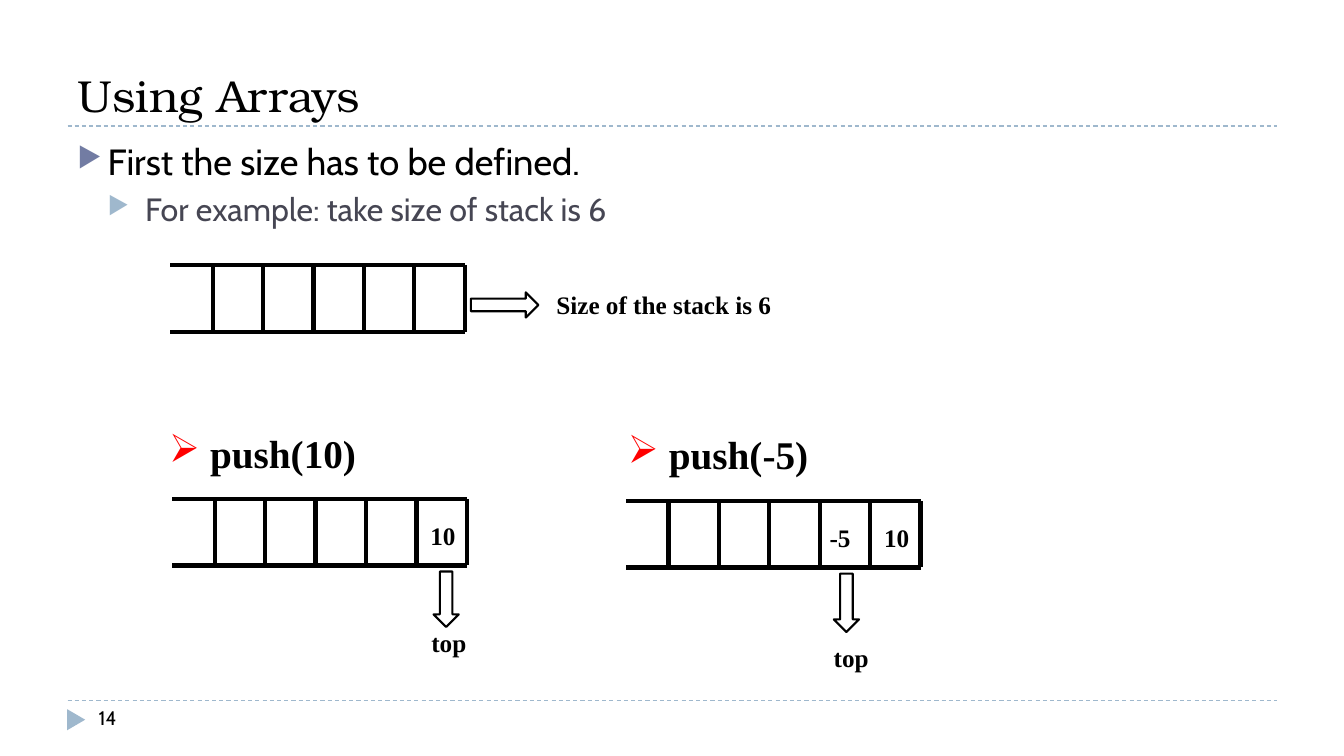
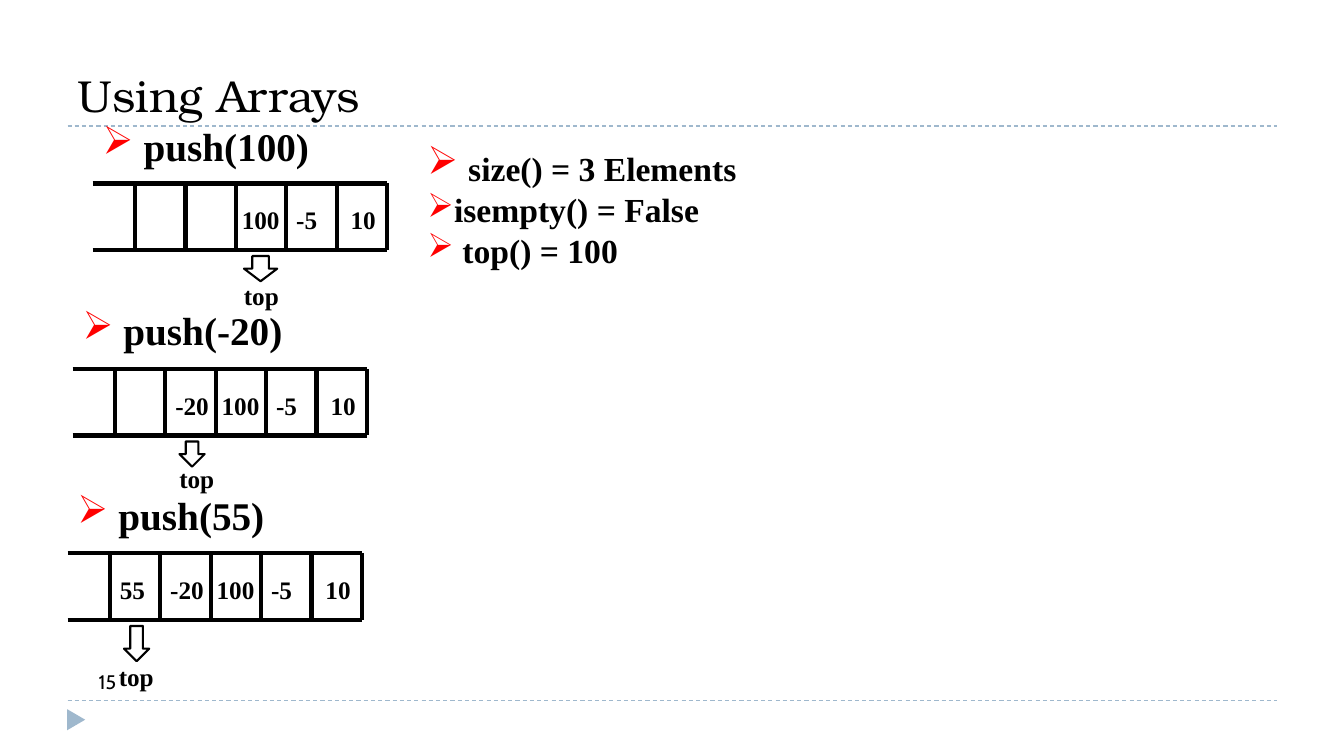
from dataclasses import dataclass

from lxml import etree
from pptx import Presentation
from pptx.dml.color import RGBColor
from pptx.enum.dml import MSO_LINE
from pptx.enum.shapes import MSO_CONNECTOR, MSO_SHAPE
from pptx.enum.text import MSO_ANCHOR, PP_ALIGN
from pptx.oxml.ns import qn
from pptx.util import Inches, Pt

BLACK = RGBColor(0x00, 0x00, 0x00)
RED = RGBColor(0xFF, 0x00, 0x00)
SLATE = RGBColor(0x46, 0x46, 0x53)
INDIGO = RGBColor(0x72, 0x7C, 0xA3)
PALE_BLUE = RGBColor(0x9F, 0xB8, 0xCD)

TITLE_FONT = "TeX Gyre Bonum"
BODY_FONT = "Cabin"
DIAGRAM_FONT = "Times New Roman"
BULLET_FONT = "OpenSymbol"

STRAIGHT = MSO_CONNECTOR.STRAIGHT
DASH = MSO_LINE.DASH
TRIANGLE = MSO_SHAPE.ISOSCELES_TRIANGLE
RIGHT_ARROW = MSO_SHAPE.RIGHT_ARROW
DOWN_ARROW = MSO_SHAPE.DOWN_ARROW
TOP = MSO_ANCHOR.TOP
BOTTOM = MSO_ANCHOR.BOTTOM
JUSTIFY = PP_ALIGN.JUSTIFY

CELL_WIDTH = 0.5
CELL_HEIGHT = 0.66
ARRAY_WIDTH = 2.92
CELL_COUNT = 6
PUSHED_VALUES = [("10", 0.04), ("-5", 0), ("100", -0.04), ("-20", 0), ("55", 0)]


@dataclass
class Push:
    """One push step; label, arrow and top offsets are relative to the array."""

    label: str
    left: float
    top: float
    filled: int
    label_offset: tuple
    arrow: tuple
    top_offset: tuple


FIRST_PUSHES = [
    Push("push(10)", 1.71, 4.95, 1, (-0.13, -0.74), (2.59, 0.25, 0.55), (2.47, 1.22)),
    Push("push(-5)", 6.21, 4.97, 2, (-0.08, -0.75), (2.06, 0.25, 0.58), (1.96, 1.35)),
]
LATER_PUSHES = [
    Push("push(100)", 0.92, 1.82, 3, (0, -0.66), (1.5, 0.33, 0.25), (1.4, 0.91)),
    Push("push(-20)", 0.72, 3.66, 4, (0, -0.67), (1.06, 0.25, 0.25), (0.96, 0.89)),
    Push("push(55)", 0.67, 5.49, 5, (0, -0.67), (0.56, 0.25, 0.35), (0.41, 1.02)),
]


def add_text_box(slide, left, top, width, height, anchor=TOP):
    """Add an empty wrapping text box and return its text frame."""
    shape = slide.shapes.add_textbox(
        Inches(left), Inches(top), Inches(width), Inches(height))
    shape.text_frame.word_wrap = True
    shape.text_frame.vertical_anchor = anchor
    return shape.text_frame


def write_runs(paragraph, runs, font_name, color=BLACK, bold=False):
    """Append (text, size) runs in one font to a paragraph."""
    for text, size in runs:
        run = paragraph.add_run()
        run.text = text
        run.font.name = font_name
        run.font.size = Pt(size)
        run.font.bold = bold
        run.font.color.rgb = color


def set_bullet(paragraph, character, color, percent=100, margin=0, hanging=0):
    """Give a paragraph a coloured bullet with a hanging indent."""
    properties = paragraph._p.get_or_add_pPr()
    properties.set("marL", str(Inches(margin)))
    properties.set("indent", str(Inches(-hanging)))
    bullet_color = etree.SubElement(properties, qn("a:buClr"))
    etree.SubElement(bullet_color, qn("a:srgbClr"), val=str(color))
    etree.SubElement(properties, qn("a:buSzPct"), val=str(percent * 1000))
    etree.SubElement(properties, qn("a:buFont"), typeface=BULLET_FONT)
    etree.SubElement(properties, qn("a:buChar"), char=character)


def add_label(slide, left, top, text, width=0.6):
    """Add a bold diagram label."""
    text_frame = add_text_box(slide, left, top, width, 0.4)
    write_runs(text_frame.paragraphs[0], [(text, 18)], DIAGRAM_FONT, bold=True)


def add_arrow_list(slide, left, top, width, height, lines):
    """Add bold lines with red arrowhead bullets."""
    text_frame = add_text_box(slide, left, top, width, height)
    for index, runs in enumerate(lines):
        paragraph = text_frame.add_paragraph() if index else text_frame.paragraphs[0]
        paragraph.alignment = JUSTIFY
        write_runs(paragraph, runs, DIAGRAM_FONT, bold=True)
        set_bullet(paragraph, "➢", RED)


def add_line(slide, start, end, color=BLACK, width=3):
    """Add a straight line between two points without a shadow."""
    connector = slide.shapes.add_connector(
        STRAIGHT, *(Inches(value) for value in (*start, *end)))
    connector.line.color.rgb = color
    connector.line.width = Pt(width)
    etree.SubElement(connector._element.spPr, qn("a:effectLst"))
    return connector


def add_block_arrow(slide, kind, left, top, width, height):
    """Add an outlined block arrow."""
    shape = slide.shapes.add_shape(
        kind, Inches(left), Inches(top), Inches(width), Inches(height))
    shape.shadow.inherit = False
    shape.fill.background()
    shape.line.color.rgb = BLACK
    shape.line.width = Pt(1.5)


def add_frame(presentation, number, number_top):
    """Start a slide with the shared rules, marker, title and number."""
    slide = presentation.slides.add_slide(presentation.slide_layouts[6])
    for y in (6.95, 1.25):
        rule = add_line(slide, (0.67, y), (12.67, y), PALE_BLUE, 0.75)
        rule.line.dash_style = DASH
    marker = slide.shapes.add_shape(
        TRIANGLE, Inches(0.65), Inches(7.05), Inches(0.21), Inches(0.18))
    marker.rotation = 90
    marker.shadow.inherit = False
    marker.fill.solid()
    marker.fill.fore_color.rgb = PALE_BLUE
    marker.line.fill.background()
    title = add_text_box(slide, 0.67, 0.17, 12, 1.08, BOTTOM)
    write_runs(title.paragraphs[0], [("Using Arrays", 32)], TITLE_FONT)
    footer = add_text_box(slide, 0.88, number_top, 2.89, 0.4)
    write_runs(footer.paragraphs[0], [(number, 14)], BODY_FONT)
    return slide


def add_array(slide, left, top, filled=0):
    """Draw a stack open at the left and fill its cells from the right."""
    right, bottom = left + ARRAY_WIDTH, top + CELL_HEIGHT
    for y in (top, bottom):
        add_line(slide, (left, y), (right, y))
    for index in range(CELL_COUNT):
        x = right - index * CELL_WIDTH
        add_line(slide, (x, bottom), (x, top))
    for index, (value, shift) in enumerate(PUSHED_VALUES[:filled]):
        cell_left = right - (index + 1) * CELL_WIDTH
        add_label(slide, cell_left + shift, top + 0.16, value)


def add_push(slide, push):
    """Draw one push step with its heading, array and top pointer."""
    label_x, label_y = push.label_offset
    add_arrow_list(slide, push.left + label_x, push.top + label_y, 2.42, 0.58,
                   [[(" " + push.label, 28)]])
    add_array(slide, push.left, push.top, push.filled)
    arrow_x, width, height = push.arrow
    add_block_arrow(slide, DOWN_ARROW, push.left + arrow_x,
                    push.top + CELL_HEIGHT + 0.06, width, height)
    top_x, top_y = push.top_offset
    add_label(slide, push.left + top_x, push.top + top_y, "top")


def add_introduction(slide, left, top, width, height):
    """Write the two levels of introductory text."""
    text_frame = add_text_box(slide, left, top, width, height)
    first = text_frame.paragraphs[0]
    first.space_before = Pt(6)
    write_runs(first, [("First the size has to be defined.", 26)], BODY_FONT)
    set_bullet(first, "▶", INDIGO, 76, 0.3, 0.3)
    second = text_frame.add_paragraph()
    second.level = 1
    second.space_before = Pt(5)
    write_runs(second, [(" For example: take size of stack is 6", 23)], BODY_FONT, SLATE)
    set_bullet(second, "▶", PALE_BLUE, 76, 0.6, 0.3)


def add_empty_stack(slide, left, top):
    """Draw the empty stack and its size note."""
    add_array(slide, left, top)
    add_block_arrow(slide, RIGHT_ARROW, left + 2.98, top + 0.27, 0.67, 0.25)
    add_label(slide, left + 3.73, top + 0.19, "Size of the stack is 6", 2.5)


def build_first_slide(presentation):
    """Build the slide that defines the stack and starts pushing."""
    slide = add_frame(presentation, "14", 6.95)
    add_introduction(slide, 0.67, 1.33, 12, 5.4)
    add_empty_stack(slide, 1.69, 2.63)
    for push in FIRST_PUSHES:
        add_push(slide, push)


def build_second_slide(presentation):
    """Build the slide with the remaining pushes and query results."""
    slide = add_frame(presentation, "15", 6.6)
    for push in LATER_PUSHES:
        add_push(slide, push)
    add_arrow_list(slide, 4.14, 1.36, 4, 1.92, [
        [(" ", 28), ("size() = 3 Elements", 24)],
        [("isempty() = False", 24)],
        [(" top() = 100", 24)],
    ])


def main():
    """Create and save the presentation."""
    presentation = Presentation()
    presentation.slide_width = Inches(13.33)
    presentation.slide_height = Inches(7.5)
    build_first_slide(presentation)
    build_second_slide(presentation)
    presentation.save("out.pptx")


if __name__ == "__main__":
    main()
